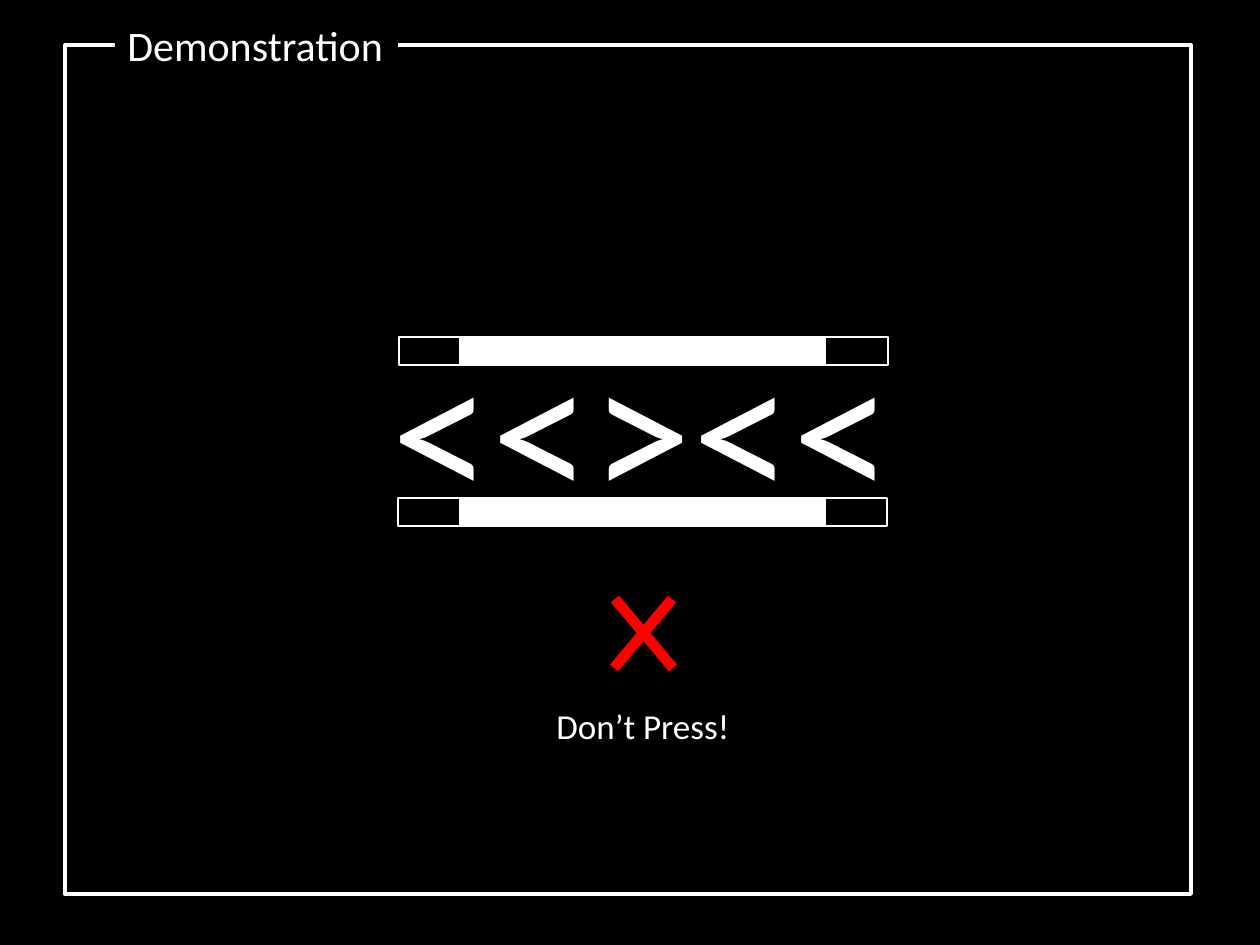
from pptx import Presentation
from pptx.dml.color import RGBColor
from pptx.enum.shapes import MSO_CONNECTOR, MSO_SHAPE
from pptx.enum.text import MSO_ANCHOR, MSO_AUTO_SIZE, PP_ALIGN
from pptx.oxml.ns import qn
from pptx.util import Emu, Pt

RECT = MSO_SHAPE.RECTANGLE
LINE = MSO_CONNECTOR.STRAIGHT
TOP = MSO_ANCHOR.TOP
LEFT = PP_ALIGN.LEFT
GROW = MSO_AUTO_SIZE.SHAPE_TO_FIT_TEXT
SCALE = 914400 / 126
BLACK, WHITE, RED = "000000", "FFFFFF", "FF0000"


def px(*vals):
    return [Emu(round(v * SCALE)) for v in vals]


def color(code):
    return RGBColor.from_string(code)


def add_rect(shapes, box, fill=None, line=None, width=1):
    rect = shapes.add_shape(RECT, *px(*box))
    rect.shadow.inherit = False
    if fill:
        rect.fill.solid()
        rect.fill.fore_color.rgb = color(fill)
    else:
        rect.fill.background()
    if line:
        rect.line.color.rgb = color(line)
        rect.line.width = Pt(width)
    else:
        rect.line.fill.background()
    return rect


def set_text(shape, text, size, wrap=False):
    frame = shape.text_frame
    form = {"word_wrap": wrap, "auto_size": GROW, "vertical_anchor": TOP}
    for key, val in form.items():
        setattr(frame, key, val)
    par = frame.paragraphs[0]
    par.alignment = LEFT
    run = par.add_run()
    run.text = text
    for key, val in {"name": "Calibri", "size": Pt(size)}.items():
        setattr(run.font, key, val)
    run.font.color.rgb = color(WHITE)


def add_text(shapes, box, text, size, wrap=False):
    set_text(shapes.add_textbox(*px(*box)), text, size, wrap)


def add_line(shapes, ends, code, width):
    line = shapes.add_connector(LINE, *px(*ends))
    line.line.color.rgb = color(code)
    line.line.width = Pt(width)
    props = line._element.spPr
    props.append(props.makeelement(qn("a:effectLst"), {}))


def add_bars(shapes):
    """Draw the outlined tracks above and below the arrows, then their fills."""
    tracks = shapes.add_group_shape().shapes
    bars = [(399, 337), (398, 498)]
    for left, top in bars:
        add_rect(tracks, (left, top, 489, 28), line=WHITE)
    for _, top in bars:
        add_rect(shapes, (460, top, 365, 28), WHITE, WHITE)


def add_cue(shapes):
    cue = shapes.add_group_shape().shapes
    add_text(cue, (544, 698, 200, 55), "Don’t Press!", 20)
    for start, end in [(615, 673), (672, 614)]:
        add_line(cue, (start, 599, end, 668), RED, 6)


def add_frame(shapes):
    frame = shapes.add_group_shape().shapes
    add_rect(frame, (65, 45, 1126, 849), line=WHITE, width=2.25)
    title = add_rect(frame, (115, 13, 283, 63), BLACK)
    set_text(title, "Demonstration", 24)


def main():
    deck = Presentation()
    deck.slide_width, deck.slide_height = px(1260, 945)
    slide = deck.slides.add_slide(deck.slide_layouts[6])
    slide.background.fill.solid()
    slide.background.fill.fore_color.rgb = color(BLACK)
    shapes = slide.shapes
    add_bars(shapes)
    add_text(shapes, (379, 296, 755, 257), "<<><<", 115, wrap=True)
    add_cue(shapes)
    add_frame(shapes)
    deck.save("out.pptx")


if __name__ == "__main__":
    main()
